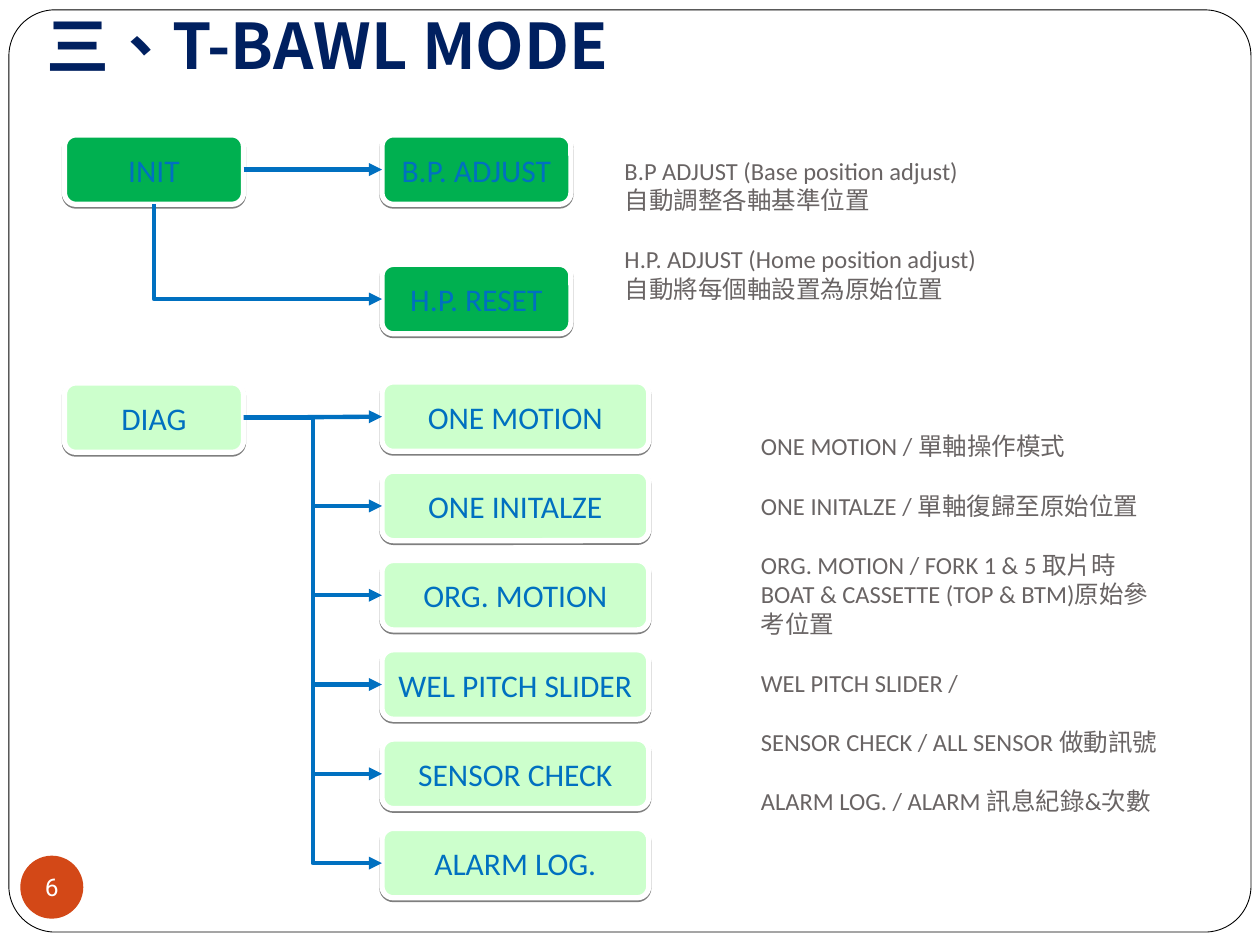
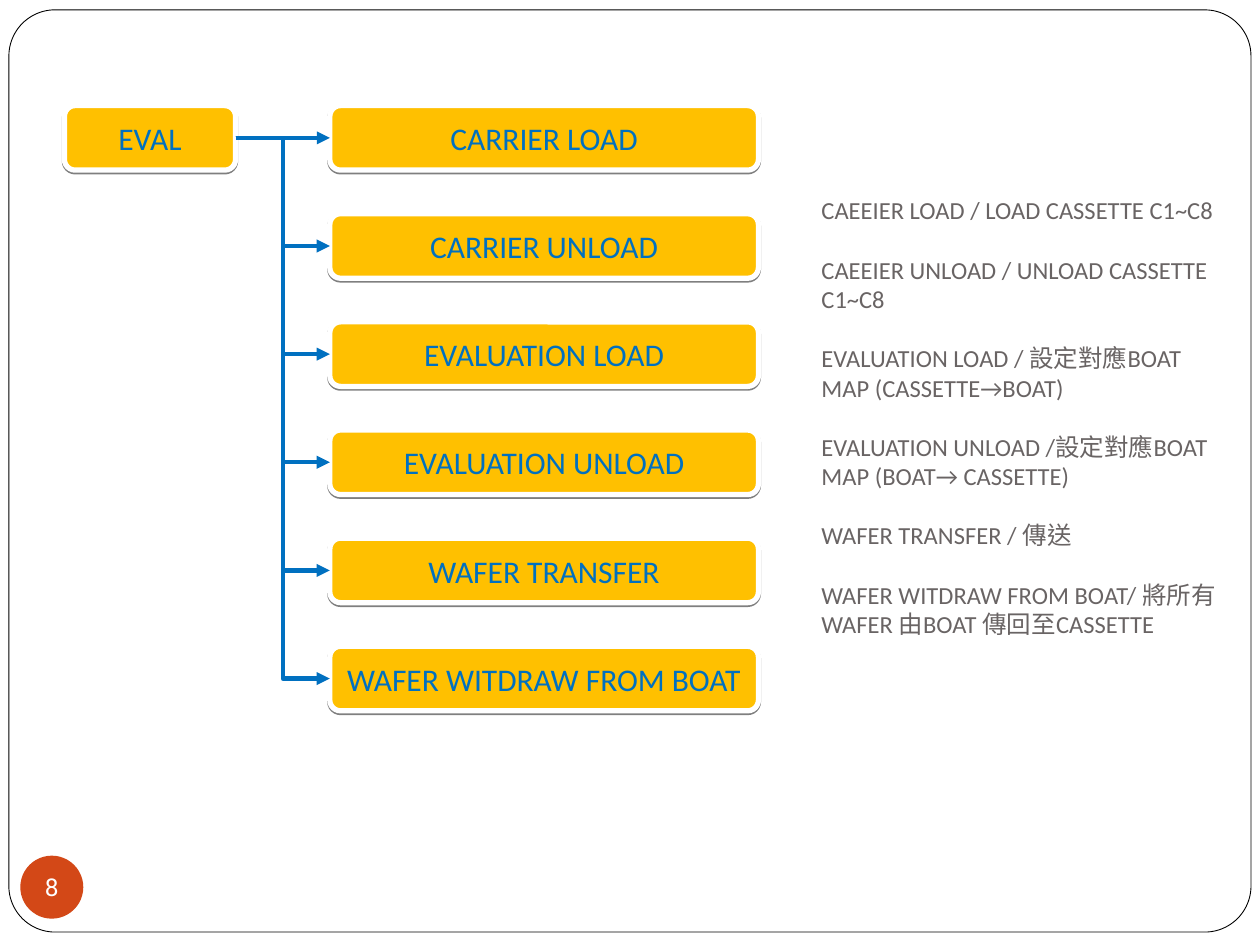
from dataclasses import dataclass

import pptx
import pptx.dml.color
import pptx.enum.shapes
import pptx.enum.text
import pptx.oxml
import pptx.oxml.ns
import pptx.util
from pptx.dml.color import RGBColor
from pptx.enum.shapes import MSO_CONNECTOR, MSO_SHAPE
from pptx.enum.text import MSO_ANCHOR, MSO_AUTO_SIZE, PP_ALIGN
from pptx.oxml.ns import nsdecls, qn
from pptx.shapes.autoshape import Shape
from pptx.shapes.connector import Connector
from pptx.slide import Slide
from pptx.text.text import TextFrame
from pptx.util import Cm, Pt

WHITE = RGBColor(0xFF, 0xFF, 0xFF)
BLACK = RGBColor(0x00, 0x00, 0x00)
NAVY = RGBColor(0x00, 0x20, 0x60)
BLUE = RGBColor(0x00, 0x70, 0xC0)
GREY = RGBColor(0x69, 0x64, 0x64)
ORANGE = RGBColor(0xD3, 0x48, 0x17)
GREEN = RGBColor(0x00, 0xB0, 0x50)
MINT = RGBColor(0xCC, 0xFF, 0xCC)
AMBER = RGBColor(0xFF, 0xC0, 0x00)

BODY_FONT = "Calibri"
TITLE_FONT = "Noto Sans CJK SC"
BADGE_FONT = "Roboto"
BOTTOM, LEFT, RIGHT = 2, 1, 3


@dataclass(frozen=True)
class Area:
    """A rectangle in centimetres."""
    x: float
    y: float
    w: float
    h: float

    def emu(self) -> tuple[Cm, Cm, Cm, Cm]:
        return Cm(self.x), Cm(self.y), Cm(self.w), Cm(self.h)

    def below(self, distance: float) -> "Area":
        return Area(self.x, self.y + distance, self.w, self.h)


@dataclass(frozen=True)
class TextStyle:
    font: str
    size: int
    color: RGBColor
    bold: bool = False


@dataclass(frozen=True)
class Tree:
    """A root box with arrows to a column of evenly spaced boxes."""
    root: str
    root_area: Area
    first_area: Area
    pitch: float
    fill: RGBColor
    branches: tuple[str, ...]


TITLE_STYLE = TextStyle(TITLE_FONT, 36, NAVY, bold=True)
BOX_STYLE = TextStyle(BODY_FONT, 18, BLUE)
NOTE_STYLE = TextStyle(BODY_FONT, 14, GREY)
BADGE_STYLE = TextStyle(BADGE_FONT, 14, WHITE)

INIT_AREA = Area(1.3, 2.72, 3.61, 1.4)
ADJUST_AREA = Area(7.7, 2.72, 3.81, 1.4)
RESET_DROP = 2.61

DIAG = Tree(
    "DIAG", Area(1.3, 7.72, 3.61, 1.4), Area(7.7, 7.7, 5.38, 1.4), 1.8, MINT,
    ("ONE MOTION", "ONE INITALZE", "ORG. MOTION", "WEL PITCH SLIDER",
     "SENSOR CHECK", "ALARM LOG."))
EVAL = Tree(
    "EVAL", Area(1.3, 2.13, 3.45, 1.3), Area(6.65, 2.13, 8.64, 1.3), 2.18, AMBER,
    ("CARRIER LOAD", "CARRIER UNLOAD", "EVALUATION LOAD", "EVALUATION UNLOAD",
     "WAFER TRANSFER", "WAFER WITDRAW FROM BOAT"))

INIT_NOTES = (
    ("B.P ADJUST (Base position adjust)", "自動調整各軸基準位置"),
    ("H.P. ADJUST (Home position adjust)", "自動將每個軸設置為原始位置"),
)
DIAG_NOTES = (
    ("ONE MOTION / 單軸操作模式",),
    ("ONE INITALZE / 單軸復歸至原始位置",),
    ("ORG. MOTION / FORK 1 & 5 取片時BOAT & CASSETTE (TOP & BTM)原始參考位置",),
    ("WEL PITCH SLIDER /",),
    ("SENSOR CHECK / ALL SENSOR 做動訊號",),
    ("ALARM LOG. / ALARM 訊息紀錄&次數",),
)
EVAL_NOTES = (
    ("CAEEIER LOAD / LOAD CASSETTE C1~C8",),
    ("CAEEIER UNLOAD / UNLOAD CASSETTE C1~C8",),
    ("EVALUATION LOAD / 設定對應BOAT MAP (CASSETTE→BOAT)",),
    ("EVALUATION UNLOAD /設定對應BOAT MAP (BOAT→ CASSETTE)",),
    ("WAFER TRANSFER / 傳送",),
    ("WAFER WITDRAW FROM BOAT/ 將所有WAFER 由BOAT 傳回至CASSETTE",),
)


def add_run(p, text: str, style: TextStyle) -> None:
    r = p.add_run()
    r.text = text
    r.font.name = style.font
    r.font.size = Pt(style.size)
    r.font.bold = style.bold
    r.font.color.rgb = style.color
    rPr = r.font._element
    rPr.set("lang", "zh-TW")
    rPr.find(qn("a:latin")).addnext(pptx.oxml.parse_xml(
        f'<a:ea {nsdecls("a")} typeface="{style.font}"/>'))


def center_text(tf: TextFrame, text: str, style: TextStyle) -> None:
    tf.vertical_anchor = MSO_ANCHOR.MIDDLE
    p = tf.paragraphs[0]
    p.alignment = PP_ALIGN.CENTER
    add_run(p, text, style)


def add_panel(slide: Slide, kind: MSO_SHAPE, area: Area, fill: RGBColor) -> Shape:
    sp = slide.shapes.add_shape(kind, *area.emu())
    sp.shadow.inherit = False
    sp.fill.solid()
    sp.fill.fore_color.rgb = fill
    return sp


def add_box(slide: Slide, area: Area, text: str, fill: RGBColor) -> Shape:
    sp = add_panel(slide, MSO_SHAPE.FLOWCHART_ALTERNATE_PROCESS, area, fill)
    sp.line.color.rgb = WHITE
    sp.line.width = Pt(3)
    sp._element.spPr.find(qn("a:effectLst")).append(pptx.oxml.parse_xml(
        f'<a:outerShdw {nsdecls("a")} blurRad="0" dist="{Pt(1)}" dir="5400000" '
        'rotWithShape="0"><a:srgbClr val="000000"><a:alpha val="50000"/>'
        '</a:srgbClr></a:outerShdw>'))
    sp.text_frame.word_wrap = True
    center_text(sp.text_frame, text, BOX_STYLE)
    return sp


def add_arrow(slide: Slide, start: Shape, end: Shape, kind: MSO_CONNECTOR,
              side: int = RIGHT) -> Connector:
    cxn = slide.shapes.add_connector(kind, 0, 0, 0, 0)
    cxn.begin_connect(start, side)
    cxn.end_connect(end, LEFT)
    cxn.line.color.rgb = BLUE
    cxn.line.width = Pt(2.5)
    spPr = cxn._element.spPr
    spPr.find(qn("a:ln")).append(
        pptx.oxml.parse_xml(f'<a:tailEnd {nsdecls("a")} type="triangle"/>'))
    spPr.append(pptx.oxml.parse_xml(f'<a:effectLst {nsdecls("a")}/>'))
    return cxn


def add_corner_arrow(slide: Slide, start: Shape, end: Shape) -> None:
    """Run down from the start box, then right to the end box, with one bend."""
    cxn = add_arrow(slide, start, end, MSO_CONNECTOR.ELBOW, BOTTOM)
    x, y, w, h = cxn.left, cxn.top, cxn.width, cxn.height
    cxn.left, cxn.top = x + (w - h) // 2, y + (h - w) // 2
    cxn.width, cxn.height = h, w
    spPr = cxn._element.spPr
    spPr.find(qn("a:prstGeom")).set("prst", "bentConnector2")
    xfrm = spPr.find(qn("a:xfrm"))
    xfrm.set("rot", "16200000")
    xfrm.set("flipH", "1")


def add_tree(slide: Slide, tree: Tree) -> None:
    root = add_box(slide, tree.root_area, tree.root, tree.fill)
    for i, text in enumerate(tree.branches):
        box = add_box(slide, tree.first_area.below(i * tree.pitch), text, tree.fill)
        add_arrow(slide, root, box, MSO_CONNECTOR.ELBOW if i else MSO_CONNECTOR.STRAIGHT)


def add_notes(slide: Slide, area: Area, groups: tuple[tuple[str, ...], ...]) -> None:
    """Write groups of lines, with one line's height between groups."""
    tf = slide.shapes.add_textbox(*area.emu()).text_frame
    tf.word_wrap = True
    tf.vertical_anchor = MSO_ANCHOR.MIDDLE
    for g, lines in enumerate(groups):
        for n, text in enumerate(lines):
            p = tf.add_paragraph() if g or n else tf.paragraphs[0]
            if g and not n:
                p.space_before = Pt(17)
            add_run(p, text, NOTE_STYLE)


def add_title(slide: Slide, text: str) -> None:
    tf = slide.shapes.add_textbox(*Area(0.69, 0, 12.4, 1.78).emu()).text_frame
    tf.word_wrap = True
    tf.auto_size = MSO_AUTO_SIZE.SHAPE_TO_FIT_TEXT
    add_run(tf.paragraphs[0], text, TITLE_STYLE)


def add_framed_slide(prs, number: int) -> Slide:
    slide = prs.slides.add_slide(prs.slide_layouts[6])
    frame = add_panel(slide, MSO_SHAPE.ROUNDED_RECTANGLE,
                      Area(0.18, 0.2, 25.04, 18.59), WHITE)
    frame.adjustments[0] = 0.05
    frame.line.color.rgb = BLACK
    frame.line.width = Pt(0.5)

    badge = add_panel(slide, MSO_SHAPE.OVAL, Area(0.41, 17.25, 1.27, 1.27), ORANGE)
    badge.line.fill.background()
    tf = badge.text_frame
    tf.margin_left = tf.margin_right = tf.margin_top = tf.margin_bottom = 0
    tf.word_wrap = False
    center_text(tf, str(number), BADGE_STYLE)
    return slide


def build_mode_slide(prs) -> None:
    slide = add_framed_slide(prs, 6)
    add_title(slide, "三、T-BAWL MODE")
    init = add_box(slide, INIT_AREA, "INIT", GREEN)
    adjust = add_box(slide, ADJUST_AREA, "B.P. ADJUST", GREEN)
    reset = add_box(slide, ADJUST_AREA.below(RESET_DROP), "H.P. RESET", GREEN)
    add_arrow(slide, init, adjust, MSO_CONNECTOR.STRAIGHT)
    add_corner_arrow(slide, init, reset)
    add_notes(slide, Area(12.34, 2.72, 8.61, 3.81), INIT_NOTES)
    add_tree(slide, DIAG)
    add_notes(slide, Area(15.09, 7.21, 8.61, 10.72), DIAG_NOTES)


def build_evaluation_slide(prs) -> None:
    slide = add_framed_slide(prs, 8)
    add_tree(slide, EVAL)
    add_notes(slide, Area(16.31, 0.91, 8.61, 14.99), EVAL_NOTES)


def main() -> None:
    prs = pptx.Presentation()
    prs.slide_width, prs.slide_height = Cm(25.4), Cm(19.05)
    build_mode_slide(prs)
    build_evaluation_slide(prs)
    prs.save("out.pptx")


if __name__ == "__main__":
    main()
